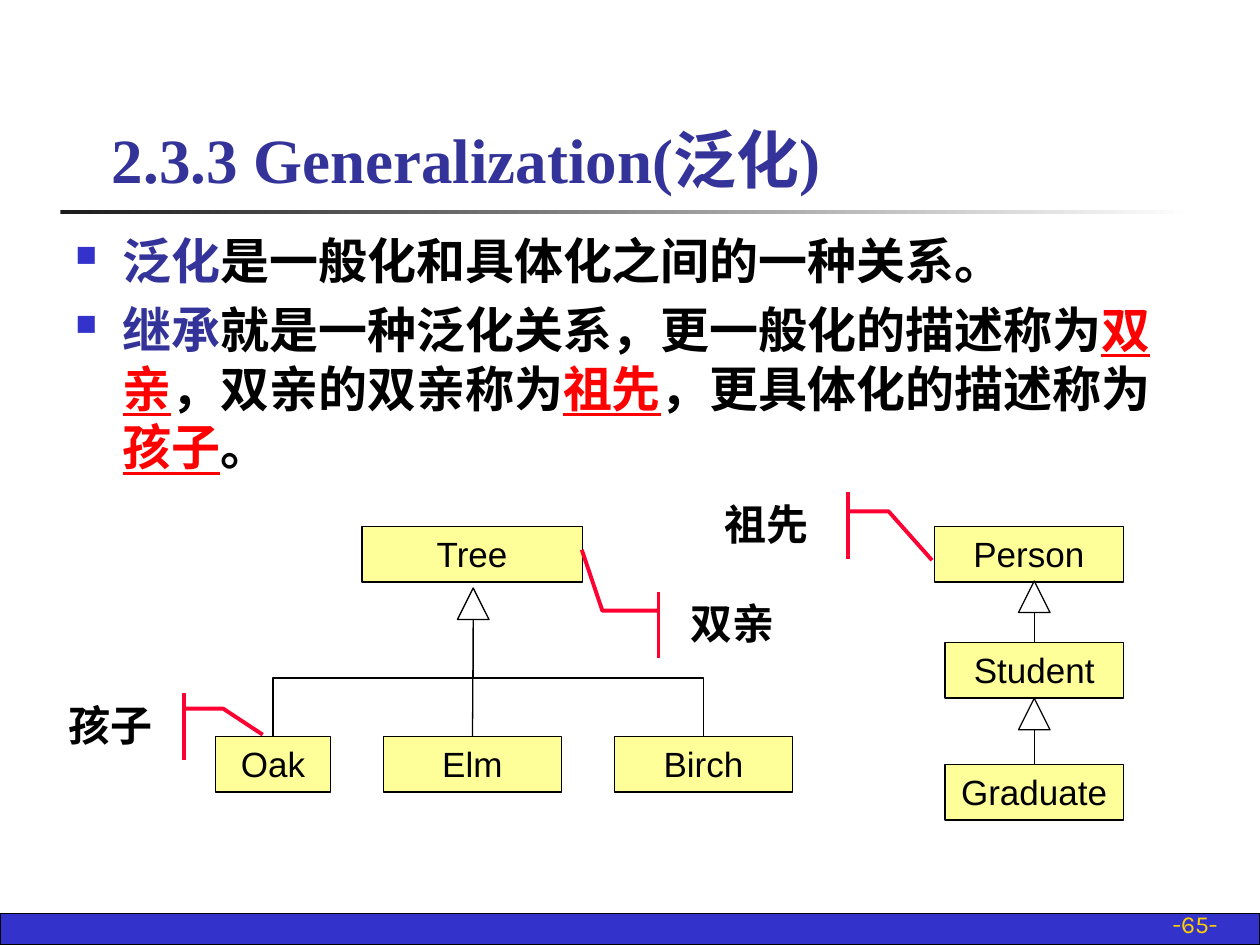
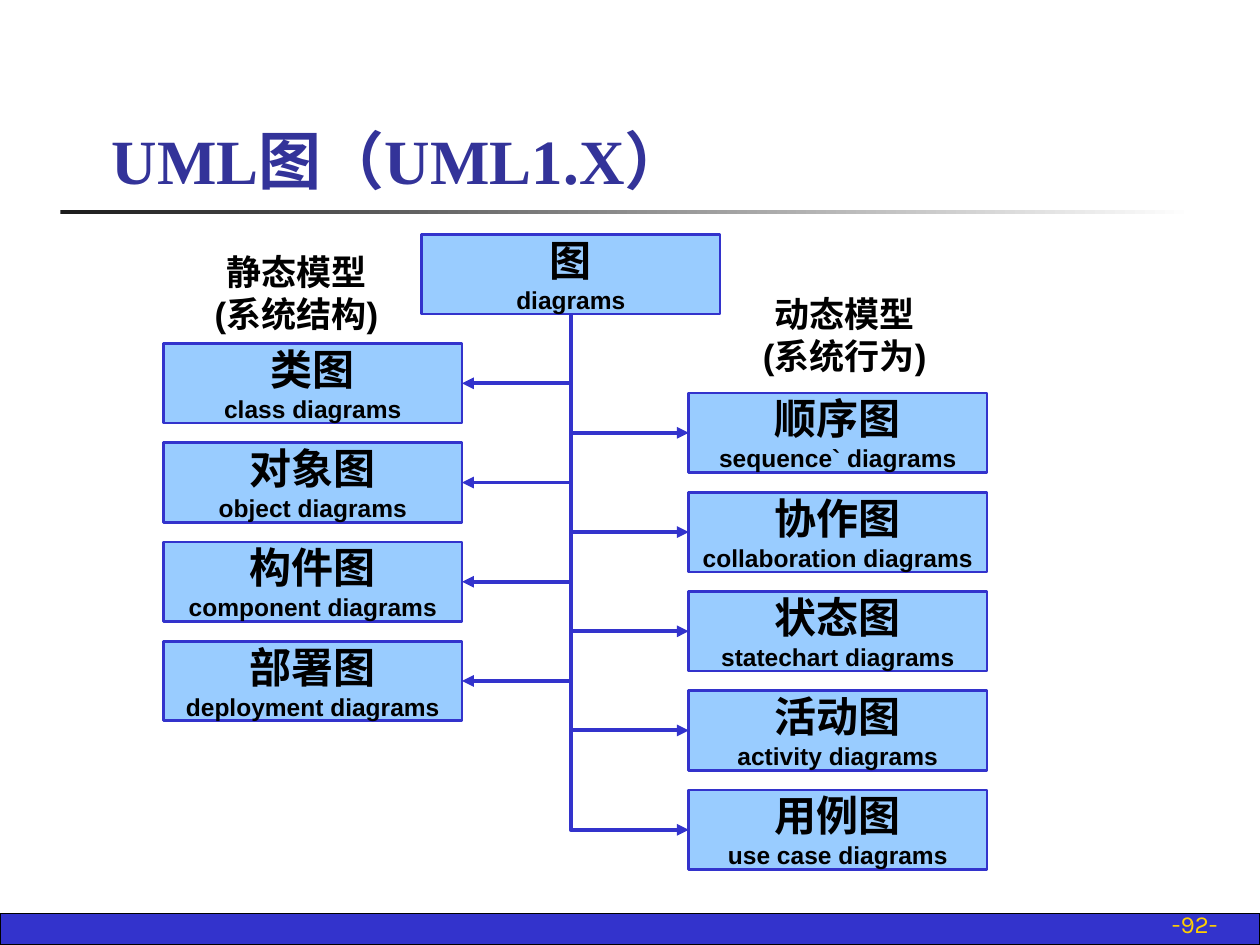
import pptx
import pptx.dml.color
import pptx.enum.dml
import pptx.enum.shapes
import pptx.enum.text
import pptx.oxml
import pptx.oxml.ns
import pptx.util

Pt = pptx.util.Pt
RGBColor = pptx.dml.color.RGBColor
SHAPE = pptx.enum.shapes.MSO_SHAPE
CONNECTOR = pptx.enum.shapes.MSO_CONNECTOR
ALIGN = pptx.enum.text.PP_ALIGN
ANCHOR = pptx.enum.text.MSO_ANCHOR
qn = pptx.oxml.ns.qn

BLACK = RGBColor(0x00, 0x00, 0x00)
WHITE = RGBColor(0xFF, 0xFF, 0xFF)
INK = RGBColor(0x1C, 0x1C, 0x1C)
BLUE = RGBColor(0x33, 0x33, 0xCC)
NAVY = RGBColor(0x33, 0x33, 0x99)
SKY = RGBColor(0x99, 0xCC, 0xFF)
YELLOW = RGBColor(0xFF, 0xFF, 0x99)
GOLD = RGBColor(0xFF, 0xCF, 0x01)
RED = RGBColor(0xFF, 0x00, 0x00)
CRIMSON = RGBColor(0xFF, 0x00, 0x33)

TITLE_FONT = "Times New Roman"
BODY_FONT = "Karla"
LABEL_FONT = "Arial"

TOP, LEFT, BOTTOM, RIGHT = range(4)


class SlideBuilder:
    def __init__(self):
        self.deck = pptx.Presentation()
        self.deck.slide_width, self.deck.slide_height = Pt(720), Pt(540)
        self.page = None

    def new_page(self, title, title_top, number):
        self.page = self.deck.slides.add_slide(self.deck.slide_layouts[6])
        self.shape(SHAPE.RECTANGLE, 0, 522, 720, 18, BLUE, BLACK)
        rule = self.shape(SHAPE.RECTANGLE, 34.56, 120, 648, 2.3)
        rule.fill.gradient()
        rule.fill.gradient_angle = 0
        for stop, color, position in zip(rule.fill.gradient_stops, (INK, WHITE), (0, 1)):
            stop.color.rgb = color
            stop.position = position
        self.text(553, 516.2, 149.8, 23.8, number, 14, BODY_FONT, GOLD,
                  align=ALIGN.RIGHT, anchor=ANCHOR.BOTTOM)
        self.text(56.9, title_top, 613.4, 115.9 - title_top, title, 36, TITLE_FONT, NAVY,
                  bold=True, anchor=ANCHOR.BOTTOM)

    def style(self, para, size, name, color=None, bold=False, align=ALIGN.LEFT):
        para.alignment = align
        para.font.size = Pt(size)
        para.font.name = name
        para.font.bold = bold
        if color is not None:
            para.font.color.rgb = color

    def shape(self, kind, left, top, width, height, fill=None, line=None, weight=0.75):
        shape = self.page.shapes.add_shape(kind, Pt(left), Pt(top), Pt(width), Pt(height))
        shape.shadow.inherit = False
        if fill is None:
            shape.fill.background()
        else:
            shape.fill.solid()
            shape.fill.fore_color.rgb = fill
        if line is None:
            shape.line.fill.background()
        else:
            shape.line.color.rgb = line
            shape.line.width = Pt(weight)
        return shape

    def text(self, left, top, width, height, text, size, name, color,
             bold=False, align=ALIGN.LEFT, anchor=ANCHOR.TOP):
        box = self.page.shapes.add_textbox(Pt(left), Pt(top), Pt(width), Pt(height))
        frame = box.text_frame
        frame.word_wrap = True
        frame.vertical_anchor = anchor
        frame.paragraphs[0].text = text
        self.style(frame.paragraphs[0], size, name, color, bold, align)

    def bullets(self, left, top, width, height, items):
        """Each item is a list of (text, color) spans; red spans are underlined."""
        box = self.page.shapes.add_textbox(Pt(left), Pt(top), Pt(width), Pt(height))
        frame = box.text_frame
        frame.word_wrap = True
        for index, item in enumerate(items):
            para = frame.add_paragraph() if index else frame.paragraphs[0]
            if index:
                para.space_before = Pt(5.6)
            properties = para._p.get_or_add_pPr()
            properties.set("marL", str(Pt(27)))
            properties.set("indent", str(-Pt(27)))
            color = properties.makeelement(qn("a:buClr"), {})
            color.append(color.makeelement(qn("a:srgbClr"), {"val": str(BLUE)}))
            properties.append(color)
            for tag, value in (("a:buSzPct", {"val": "60000"}), ("a:buChar", {"char": "■"})):
                properties.append(properties.makeelement(qn(tag), value))
            self.style(para, 28, BODY_FONT, bold=True)
            for text, span_color in item:
                span = para.add_run()
                span.text = text
                span.font.color.rgb = span_color
                if span_color == RED:
                    span.font.underline = True

    def class_box(self, name, left, top, width):
        box = self.shape(SHAPE.RECTANGLE, left, top, width, 31.7, YELLOW, BLACK)
        box.text_frame.vertical_anchor = ANCHOR.TOP
        para = box.text_frame.paragraphs[0]
        para.text = name
        self.style(para, 20, LABEL_FONT, BLACK, align=ALIGN.CENTER)
        return box

    def diagram_box(self, chinese, english, left, top, width, height):
        box = self.shape(SHAPE.RECTANGLE, left, top, width, height, SKY, BLUE, 1.5)
        frame = box.text_frame
        frame.word_wrap = False
        frame.vertical_anchor = ANCHOR.MIDDLE
        frame.text = f"{chinese}\n{english}"
        for para, size in zip(frame.paragraphs, (24, 14)):
            self.style(para, size, LABEL_FONT, BLACK, True, ALIGN.CENTER)
        return box

    def callout(self, text, left, top, width, adjustments):
        box = self.shape(SHAPE.LINE_CALLOUT_2_ACCENT_BAR, left, top, width, 38,
                         line=CRIMSON, weight=2.25)
        for index, value in enumerate(adjustments):
            box.adjustments[index] = value
        box.text_frame.vertical_anchor = ANCHOR.TOP
        para = box.text_frame.paragraphs[0]
        para.text = text
        self.style(para, 24, LABEL_FONT, BLACK, True, ALIGN.CENTER)

    def triangle(self, center, top):
        self.shape(SHAPE.ISOSCELES_TRIANGLE, center - 9, top, 18, 18, line=BLACK)

    def connector(self, kind, start, end, color=BLACK, weight=0.75):
        line = self.page.shapes.add_connector(kind, *map(Pt, start + end))
        line.line.color.rgb = color
        line.line.width = Pt(weight)
        properties = line._element.spPr
        properties.append(properties.makeelement(qn("a:effectLst"), {}))
        return line

    def riser(self, box, end):
        """Draw a straight line from the top of a box to a point."""
        start = ((box.left + box.width / 2) / Pt(1), box.top / Pt(1))
        self.connector(CONNECTOR.STRAIGHT, start, end).begin_connect(box, TOP)

    def drop(self, line, start, end):
        """Turn an elbow so that it leaves its start downwards."""
        (x1, y1), (x2, y2) = start, end
        length, across = y2 - y1, abs(x2 - x1)
        line.left = Pt((x1 + x2 - length) / 2)
        line.top = Pt((y1 + y2 - across) / 2)
        line.width, line.height = Pt(length), Pt(across)
        frame = line._element.spPr.find(qn("a:xfrm"))
        for flip in ("flipH", "flipV"):
            frame.attrib.pop(flip, None)
        if x2 < x1:
            frame.set("rot", "5400000")
        else:
            frame.set("rot", "16200000")
            frame.set("flipH", "1")

    def fork(self, start, box):
        end = ((box.left + box.width / 2) / Pt(1), box.top / Pt(1))
        line = self.connector(CONNECTOR.ELBOW, start, end)
        line.end_connect(box, TOP)
        self.drop(line, start, end)

    def branch(self, root, box, side):
        """Draw an arrow down from the root and across to one side of a box."""
        start = ((root.left + root.width / 2) / Pt(1), (root.top + root.height) / Pt(1))
        edge = box.left + (box.width if side == RIGHT else 0)
        end = (edge / Pt(1), (box.top + box.height / 2) / Pt(1))
        line = self.connector(CONNECTOR.ELBOW, start, end, BLUE, 2.25)
        line.begin_connect(root, BOTTOM)
        line.end_connect(box, side)
        line._element.spPr.find(qn("a:prstGeom")).set("prst", "bentConnector2")
        self.drop(line, start, end)
        outline = line.line._get_or_add_ln()
        outline.append(outline.makeelement(qn("a:tailEnd"), {"type": "triangle"}))


def build_generalization(builder):
    builder.new_page("2.3.3 Generalization(泛化)", 68.4, "-65-")
    builder.bullets(36, 128.2, 646.6, 164.2, [
        [("泛化", NAVY), ("是一般化和具体化之间的一种关系。", BLACK)],
        [("继承", NAVY), ("就是一种泛化关系，更一般化的描述称为", BLACK), ("双亲", RED),
         ("，双亲的双亲称为", BLACK), ("祖先", RED),
         ("，更具体化的描述称为", BLACK), ("孩子", RED), ("。", BLACK)],
    ])

    builder.class_box("Tree", 206.8, 301, 126)
    oak, elm, birch = [
        builder.class_box(name, left, 421, width)
        for name, left, width in (("Oak", 123, 66), ("Elm", 219, 102), ("Birch", 351, 102))
    ]
    tree_arrow = (270.4, 354)
    builder.triangle(tree_arrow[0], 336)
    builder.fork(tree_arrow, oak)
    builder.riser(elm, tree_arrow)
    builder.fork(tree_arrow, birch)

    builder.class_box("Person", 534, 301, 108)
    for name, top, arrow_top in (("Student", 367.2, 332), ("Graduate", 437, 399)):
        box = builder.class_box(name, 540, top, 102)
        builder.triangle(591, arrow_top)
        builder.riser(box, (591, arrow_top + 18))

    builder.callout("孩子", 27.4, 396, 72, (0.235, 1.083, 0.235, 1.391, 0.627, 1.705))
    builder.callout("双亲", 382.3, 338, 72.7, (0.289, -0.083, 0.289, -0.524, -0.627, -0.686))
    builder.callout("祖先", 397.4, 281.2, 81.4, (0.289, 1.074, 0.289, 1.356, 1.024, 1.661))


def build_diagram_kinds(builder):
    builder.new_page("UML图（UML1.X）", 25.9, "-92-")
    width, height, pitch = 170.4, 45.5, 56.7
    root = builder.diagram_box("图", "diagrams", 241, 134, width, height)
    static = (("类图", "class"), ("对象图", "object"), ("构件图", "component"),
              ("部署图", "deployment"))
    dynamic = (("顺序图", "sequence`"), ("协作图", "collaboration"), ("状态图", "statechart"),
               ("活动图", "activity"), ("用例图", "use case"))
    for kinds, left, top, side in ((static, 93.6, 196.3, RIGHT), (dynamic, 393.6, 224.6, LEFT)):
        for row, (chinese, english) in enumerate(kinds):
            box = builder.diagram_box(chinese, f"{english} diagrams",
                                      left, top + row * pitch, width, height)
            builder.branch(root, box, side)
    for label, left, top in (("静态模型\v(系统结构)", 87.8, 139.7),
                             ("动态模型\v(系统行为)", 401, 163.7)):
        builder.text(left, top, 163.4, 55.4, label, 20, LABEL_FONT, BLACK, True, ALIGN.CENTER)


def main():
    builder = SlideBuilder()
    build_generalization(builder)
    build_diagram_kinds(builder)
    builder.deck.save("out.pptx")


if __name__ == "__main__":
    main()
